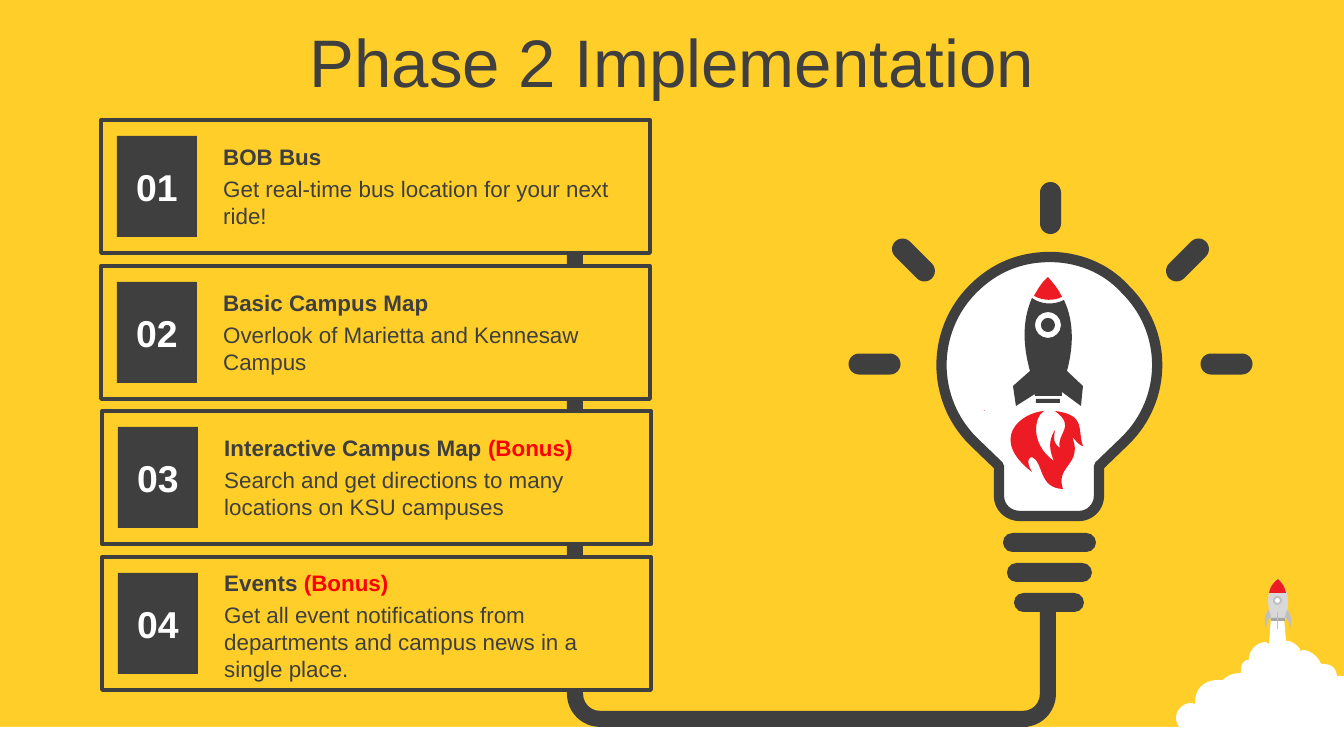
import dataclasses

import lxml.etree
import pptx
import pptx.dml.color
import pptx.enum.shapes
import pptx.enum.text
import pptx.oxml.ns
import pptx.util

EMU_PER_PIXEL = 914400 / 134.4
KINDS = pptx.enum.shapes.MSO_SHAPE
ALIGN = pptx.enum.text.PP_ALIGN


@dataclasses.dataclass(frozen=True)
class Theme:
    font: str = "Arial"
    yellow: str = "FFCE29"
    dark: str = "3F3F3F"
    white: str = "FFFFFF"
    flame: str = "ED1C24"
    bonus: str = "FF0000"
    metal: str = "D8D8D8"
    fin: str = "BFBFBF"
    nozzle: str = "A5A5A5"
    title_size: int = 36
    number_size: int = 20
    text_size: int = 12


THEME = Theme()

CARDS = [
    ("BOB Bus", "", "Get real-time bus location for your next ride!", 0),
    ("Basic Campus Map", "", "Overlook of Marietta and Kennesaw Campus", 0),
    ("Interactive Campus Map ", "(Bonus)",
     "Search and get directions to many locations on KSU campuses", 0),
    ("Events ", "(Bonus)",
     "Get all event notifications from departments and campus news in a single place.", 11),
]

SMOKE = [
    (1271, 617), (1284, 617), (1286, 641), (1289, 641),
    (1293, 642, 1297, 645, 1300, 649), (1301, 652), (1302, 650),
    (1310, 650, 1318, 656, 1321, 664), (1325, 664),
    (1331, 664, 1336, 668, 1337, 675), (1337, 676), (1344, 676), (1344, 753),
    (1255, 754), (1240, 753, 1232, 748, 1227, 741),
    (1224, 743, 1219, 745, 1215, 743), (1210, 742, 1202, 739, 1200, 732),
    (1200, 730), (1199, 731), (1198, 732, 1195, 732, 1191, 732),
    (1183, 732, 1176, 726, 1176, 718), (1176, 710, 1183, 703, 1191, 703),
    (1195, 704), (1195, 702), (1195, 689, 1204, 680, 1218, 680),
    (1223, 680), (1224, 679), (1228, 675, 1234, 673, 1241, 673), (1241, 669),
    (1241, 665, 1243, 661, 1247, 660), (1249, 660), (1249, 657),
    (1250, 649, 1258, 642, 1266, 642), (1269, 644),
]
SMALL_HULL = [(1271, 621), (1269, 609, 1263, 591, 1278, 579),
              (1293, 593, 1288, 610, 1285, 621)]
SMALL_NOSE = [(1278, 579), (1282, 583, 1285, 587, 1286, 593), (1269, 593),
              (1270, 587, 1273, 583, 1278, 579)]
SMALL_FIN = [(1269, 610), (1271, 617), (1266, 620, 1267, 626, 1266, 629),
             (1265, 625, 1263, 614, 1269, 610)]
BULB = [
    (1050, 257), (1077, 257, 1105, 267, 1125, 289),
    (1168, 331, 1168, 399, 1125, 441), (1099, 466), (1099, 496),
    (1099, 507, 1090, 516, 1079, 516), (1020, 516),
    (1008, 516, 999, 507, 999, 496), (999, 466), (973, 441),
    (931, 399, 931, 331, 973, 289), (995, 267, 1021, 257, 1050, 257),
]
HULL = [
    (1032, 298), (1042, 305, 1054, 305, 1064, 300),
    (1075, 323, 1073, 349, 1067, 371), (1083, 386), (1081, 406), (1062, 392),
    (1062, 396), (1035, 396), (1035, 394), (1016, 406), (1013, 386),
    (1030, 371), (1024, 349, 1021, 323, 1032, 298),
]
EXHAUST = [(1036, 399), (1060, 399), (1060, 403), (1036, 403)]
NOSE = [(1048, 277), (1054, 284, 1059, 290, 1062, 297),
        (1054, 301, 1043, 301, 1034, 296), (1038, 289, 1042, 282, 1048, 277)]
FLAME = [
    (1044, 411), (1034, 417, 1030, 444, 1054, 461),
    (1047, 445, 1051, 437, 1055, 430), (1055, 434, 1051, 442, 1060, 448),
    (1056, 433, 1077, 427, 1055, 411), (1087, 415, 1077, 430, 1083, 446),
    (1078, 446, 1071, 433, 1073, 439), (1082, 465, 1055, 466, 1063, 489),
    (1038, 488, 1044, 462, 1032, 457), (1030, 457, 1025, 460, 1032, 472),
    (989, 439, 1020, 413, 1044, 411),
]
SPARK = [(984, 410), (985, 410), (984, 411)]


def px(length):
    return pptx.util.Emu(round(length * EMU_PER_PIXEL))


def rgb(color):
    return pptx.dml.color.RGBColor.from_string(color)


def paint(shape, fill, line=None, weight=1):
    shape.shadow.inherit = False
    shape.fill.solid()
    shape.fill.fore_color.rgb = rgb(fill)
    if line:
        shape.line.color.rgb = rgb(line)
        shape.line.width = pptx.util.Pt(weight)
    else:
        shape.line.fill.background()


def add_block(slide, kind, box, fill, line=None, weight=1, rotation=0, adjust=()):
    block = slide.shapes.add_shape(kind, *map(px, box))
    for index, value in enumerate(adjust):
        block.adjustments[index] = value
    block.rotation = rotation
    paint(block, fill, line, weight)


def add_pill(slide, box, rotation=0):
    add_block(slide, KINDS.ROUNDED_RECTANGLE, box, THEME.dark, rotation=rotation, adjust=[0.5])


def flatten(contour, steps=10):
    points = [contour[0]]
    for segment in contour[1:]:
        if len(segment) == 2:
            points.append(segment)
            continue
        controls = [points[-1], segment[:2], segment[2:4], segment[4:]]
        for step in range(1, steps + 1):
            t = step / steps
            weights = ((1 - t) ** 3, 3 * t * (1 - t) ** 2, 3 * t * t * (1 - t), t ** 3)
            points.append(tuple(sum(w * c[axis] for w, c in zip(weights, controls))
                                for axis in (0, 1)))
    return [(px(x), px(y)) for x, y in points]


def add_curves(outline, contours):
    qn = pptx.oxml.ns.qn
    geometry = next(outline._element.iter(qn("a:path")))
    for command in list(geometry):
        geometry.remove(command)
    for contour in contours:
        for index, segment in enumerate(contour):
            tag = "a:cubicBezTo" if len(segment) == 6 else "a:lnTo" if index else "a:moveTo"
            command = lxml.etree.SubElement(geometry, qn(tag))
            for x, y in zip(segment[::2], segment[1::2]):
                lxml.etree.SubElement(command, qn("a:pt"), x=str(px(x) - outline.left),
                                      y=str(px(y) - outline.top))
        lxml.etree.SubElement(geometry, qn("a:close"))


def add_outline(slide, contours, fill, line=None, weight=1):
    first, *others = map(flatten, contours)
    builder = slide.shapes.build_freeform(*first[0])
    builder.add_line_segments(first[1:])
    for points in others:
        builder.move_to(*points[0])
        builder.add_line_segments(points[1:])
    outline = builder.convert_to_shape()
    add_curves(outline, contours)
    paint(outline, fill, line, weight)


def circle(x, y, r):
    k = 0.55 * r
    return [(x, y - r), (x + k, y - r, x + r, y - k, x + r, y),
            (x + r, y + k, x + k, y + r, x, y + r),
            (x - k, y + r, x - r, y + k, x - r, y),
            (x - r, y - k, x - k, y - r, x, y - r)]


def mirror(contour, axis):
    return [tuple(2 * axis - v if i % 2 == 0 else v for i, v in enumerate(segment))
            for segment in contour]


def style(paragraph, size, color, bold=False, align=ALIGN.LEFT):
    paragraph.alignment = align
    paragraph.font.name = THEME.font
    paragraph.font.size = pptx.util.Pt(size)
    paragraph.font.bold = bold
    paragraph.font.color.rgb = rgb(color)


def add_text(slide, box, text, size, color, bold=False, align=ALIGN.LEFT):
    frame = slide.shapes.add_textbox(*map(px, box)).text_frame
    frame.word_wrap = True
    paragraph = frame.paragraphs[0]
    paragraph.add_run().text = text
    style(paragraph, size, color, bold, align)
    return paragraph


def add_title(slide, text):
    title = slide.shapes.title
    title.left, title.top, title.width, title.height = map(px, (0, 18, 1344, 85))
    frame = title.text_frame
    frame.text = text
    frame.auto_size = pptx.enum.text.MSO_AUTO_SIZE.NONE
    frame.vertical_anchor = pptx.enum.text.MSO_ANCHOR.MIDDLE
    style(frame.paragraphs[0], THEME.title_size, THEME.dark, align=ALIGN.CENTER)


def add_launch(slide):
    add_block(slide, KINDS.RECTANGLE, (0, 727, 1344, 32), THEME.white)
    add_outline(slide, [SMOKE], THEME.white)
    add_outline(slide, [SMALL_HULL], THEME.metal)
    add_block(slide, KINDS.RECTANGLE, (1271, 618, 14, 3), THEME.nozzle)
    add_outline(slide, [SMALL_NOSE], THEME.flame)
    add_block(slide, KINDS.OVAL, (1274, 597, 7, 7), THEME.white, THEME.fin)
    add_block(slide, KINDS.RECTANGLE, (1277, 612, 1, 17), THEME.fin)
    for fin in (SMALL_FIN, mirror(SMALL_FIN, 1278)):
        add_outline(slide, [fin], THEME.fin)


def add_cord(slide):
    for box in ((567, 237, 16, 457), (599, 711, 429, 16), (1040, 612, 16, 84)):
        add_block(slide, KINDS.RECTANGLE, box, THEME.dark)
    for left, rotation in ((567, 0), (990, 270)):
        add_block(slide, KINDS.BLOCK_ARC, (left, 661, 66, 66), THEME.dark,
                  rotation=rotation, adjust=[54.318, 108.171, 0.243])


def add_card(slide, index, heading, bonus, body, lift):
    left, top = 101 + index // 2, 120 + 146 * index - index // 2
    add_block(slide, KINDS.RECTANGLE, (left, top, 549, 133), THEME.yellow, THEME.dark, 2)
    add_block(slide, KINDS.RECTANGLE, (left + 16, top + 16, 80, 101), THEME.dark)
    add_text(slide, (left + 109, top + 49 - lift, 423, 67 + 2 * lift), body,
             THEME.text_size, THEME.dark)
    caption = add_text(slide, (left + 109, top + 17 - lift, 423, 40), heading,
                       THEME.text_size, THEME.dark, bold=True)
    if bonus:
        mark = caption.add_run()
        mark.text = bonus
        mark.font.color.rgb = rgb(THEME.bonus)
    add_text(slide, (left + 21, top + 38, 69, 59), f"{index + 1:02}",
             THEME.number_size, THEME.white, bold=True, align=ALIGN.RIGHT)


def add_bulb(slide):
    add_outline(slide, [BULB], THEME.white, THEME.dark, 5.5)
    for row, width in enumerate((93, 85, 70)):
        add_pill(slide, (1049 - width // 2, 533 + 30 * row, width, 19))
    for offset, middle, rotation in ((137, 260, 45), (-137, 260, 315), (0, 208, 0),
                                     (176, 364, 90), (-176, 364, 270)):
        add_pill(slide, (1040 + offset, middle - 26, 21, 52), rotation)
    add_outline(slide, [EXHAUST, circle(1048, 325, 7), circle(1048, 325, 13), HULL], THEME.dark)
    add_outline(slide, [NOSE], THEME.flame)
    add_outline(slide, [FLAME, SPARK], THEME.flame)


def main():
    deck = pptx.Presentation()
    deck.slide_width, deck.slide_height = px(1344), px(756)
    slide = deck.slides.add_slide(deck.slide_layouts[5])
    slide.background.fill.solid()
    slide.background.fill.fore_color.rgb = rgb(THEME.yellow)
    add_title(slide, "Phase 2 Implementation")
    add_launch(slide)
    add_cord(slide)
    for index, card in enumerate(CARDS):
        add_card(slide, index, *card)
    add_bulb(slide)
    deck.save("out.pptx")


main()
